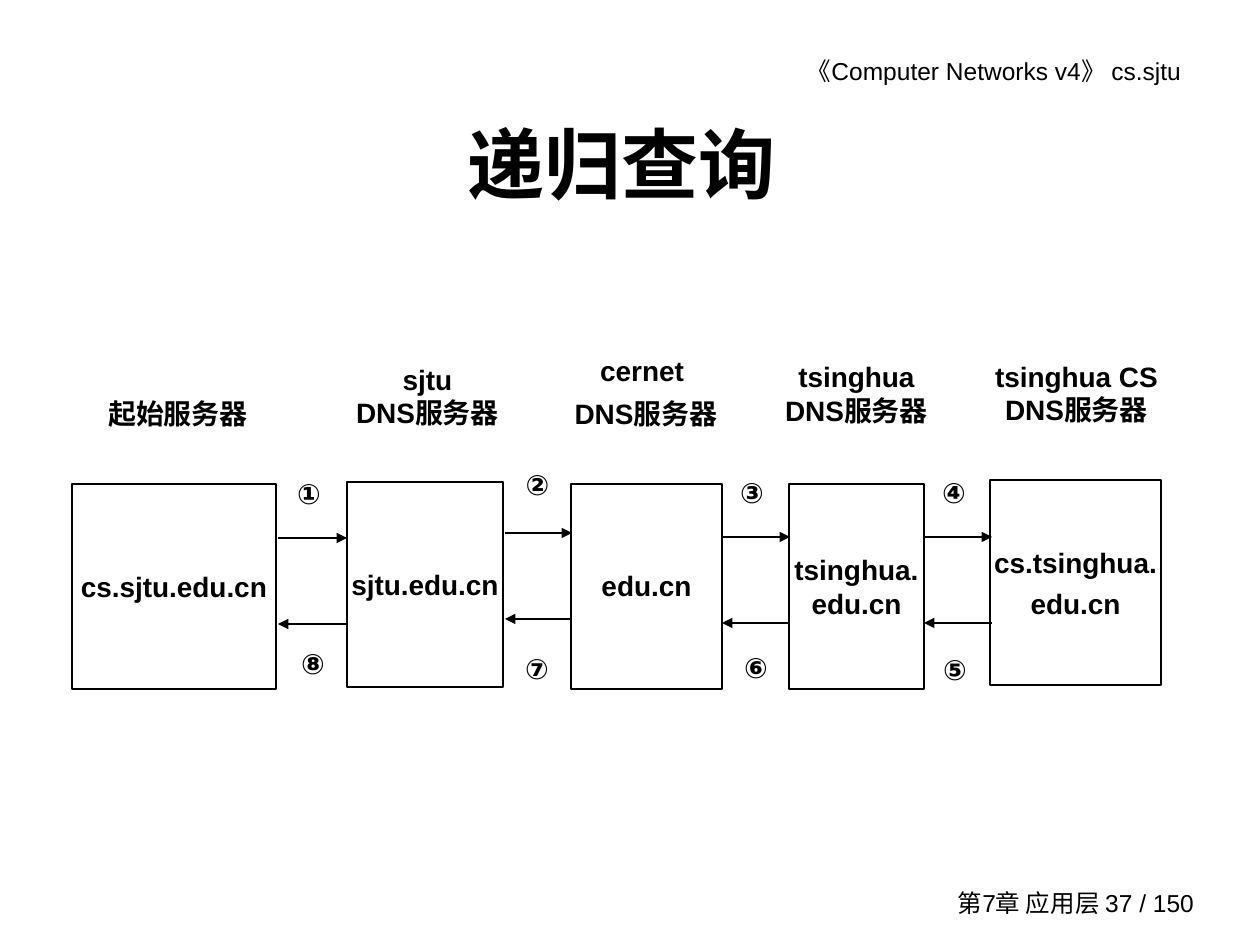
from typing import NamedTuple

from lxml import etree
from pptx import Presentation
from pptx.dml.color import RGBColor
from pptx.enum.shapes import MSO_CONNECTOR, MSO_SHAPE
from pptx.enum.text import MSO_ANCHOR, PP_ALIGN
from pptx.oxml.ns import qn
from pptx.util import Emu, Pt

RECTANGLE = MSO_SHAPE.RECTANGLE
STRAIGHT = MSO_CONNECTOR.STRAIGHT
TOP, MIDDLE = MSO_ANCHOR.TOP, MSO_ANCHOR.MIDDLE
CENTER, RIGHT = PP_ALIGN.CENTER, PP_ALIGN.RIGHT

BLACK = RGBColor(0x00, 0x00, 0x00)
FONT = "Arial"
PX_PER_INCH = 126
SERVER_HEIGHT = 205
REPLY_DROP = 86
NARROW, WIDE = 2, 13
LABEL_SPACING = 1.44


class Box(NamedTuple):
    left: int
    top: int
    width: int
    height: int


class Server(NamedTuple):
    left: int
    top: int
    width: int
    domain: str
    caption: str
    caption_box: Box
    line_spacing: float = 1.0
    gap: int = 0
    caption_gap: int = 0


class Hop(NamedTuple):
    """A query to the next server and the reply that comes back below it."""
    left: int
    right: int
    top: int
    query: str
    query_box: Box
    reply: str
    reply_box: Box


SERVERS = [
    Server(72, 484, 204, "cs.sjtu.edu.cn", "起始服务器", Box(76, 343, 204, 141)),
    Server(347, 482, 156, "sjtu.edu.cn", "sjtu\nDNS服务器", Box(348, 309, 159, 174)),
    Server(571, 484, 151, "edu.cn", "cernet \nDNS服务器", Box(563, 304, 166, 179),
           line_spacing=0.96, caption_gap=3),
    Server(789, 484, 135, "tsinghua.edu.cn", "tsinghua\nDNS服务器",
           Box(767, 306, 179, 175)),
    Server(990, 480, 171, "cs.tsinghua.\nedu.cn", "tsinghua CS\nDNS服务器",
           Box(987, 306, 179, 174), gap=2),
]

HOPS = [
    Hop(278, 347, 538, "①", Box(271, 418, 76, 137), "⑧", Box(275, 588, 76, 137)),
    Hop(505, 572, 533, "②", Box(496, 394, 83, 165), "⑦", Box(499, 592, 76, 137)),
    Hop(722, 790, 537, "③", Box(714, 416, 76, 137), "⑥", Box(718, 591, 76, 137)),
    Hop(924, 992, 537, "④", Box(916, 416, 76, 137), "⑤", Box(925, 593, 60, 137)),
]


def px(length: int) -> Emu:
    return Emu(round(length * 914400 / PX_PER_INCH))


def write(shape, text: str, *, size: int = 16, bold: bool = True, align=CENTER,
          anchor=MIDDLE, inset: int = NARROW, inset_right: int | None = None,
          line_spacing: float = 1.0, gap: int = 0) -> None:
    """Fill a shape with one paragraph per line, `gap` points around each."""
    frame = shape.text_frame
    frame.word_wrap = True
    frame.vertical_anchor = anchor
    frame.margin_left = px(inset)
    frame.margin_right = px(inset if inset_right is None else inset_right)
    frame.margin_top = frame.margin_bottom = px(6)
    frame.text = text
    for index, paragraph in enumerate(frame.paragraphs):
        paragraph.alignment = align
        paragraph.line_spacing = line_spacing
        paragraph.space_before = Pt(gap if index else 0)
        paragraph.space_after = Pt(gap)
        font = paragraph.font
        font.name, font.size, font.bold = FONT, Pt(size), bold
        font.color.rgb = BLACK


def add_label(slide, box: Box, text: str, **text_format) -> None:
    write(slide.shapes.add_textbox(*map(px, box)), text, **text_format)


def add_server(slide, server: Server) -> None:
    box = Box(server.left, server.top, server.width, SERVER_HEIGHT)
    rectangle = slide.shapes.add_shape(RECTANGLE, *map(px, box))
    rectangle.shadow.inherit = False
    rectangle.fill.background()
    rectangle.line.color.rgb = BLACK
    rectangle.line.width = Pt(1)
    write(rectangle, server.domain, line_spacing=server.line_spacing, gap=server.gap)
    add_label(slide, server.caption_box, server.caption,
              line_spacing=server.line_spacing, gap=server.caption_gap)


def add_arrow(slide, start: int, end: int, y: int) -> None:
    arrow = slide.shapes.add_connector(STRAIGHT, px(start), px(y), px(end), px(y))
    arrow.line.color.rgb = BLACK
    arrow.line.width = Pt(1)
    line = arrow.line._get_or_add_ln()
    etree.SubElement(line, qn("a:tailEnd"), type="triangle")
    etree.SubElement(arrow._element.spPr, qn("a:effectLst"))


def add_hop(slide, hop: Hop) -> None:
    add_arrow(slide, hop.left, hop.right, hop.top)
    add_arrow(slide, hop.right, hop.left, hop.top + REPLY_DROP)
    add_label(slide, hop.query_box, hop.query, line_spacing=LABEL_SPACING)
    add_label(slide, hop.reply_box, hop.reply, line_spacing=LABEL_SPACING)


def main() -> None:
    presentation = Presentation()
    presentation.slide_width, presentation.slide_height = px(1260), px(945)
    slide = presentation.slides.add_slide(presentation.slide_layouts[5])

    add_label(slide, Box(665, 50, 543, 43), "《Computer Networks v4》 cs.sjtu",
              size=14, bold=False, align=RIGHT, anchor=TOP, inset=WIDE, inset_right=27)
    add_label(slide, Box(922, 882, 285, 42), "第7章 应用层 37 / 150",
              size=14, bold=False, align=RIGHT, inset=WIDE)

    title = slide.shapes.title
    title.left, title.top, title.width, title.height = map(px, Box(95, 84, 1071, 158))
    write(title, "递归查询 ", size=44, inset=WIDE)

    for server in SERVERS:
        add_server(slide, server)
    for hop in HOPS:
        add_hop(slide, hop)

    presentation.save("out.pptx")


if __name__ == "__main__":
    main()
